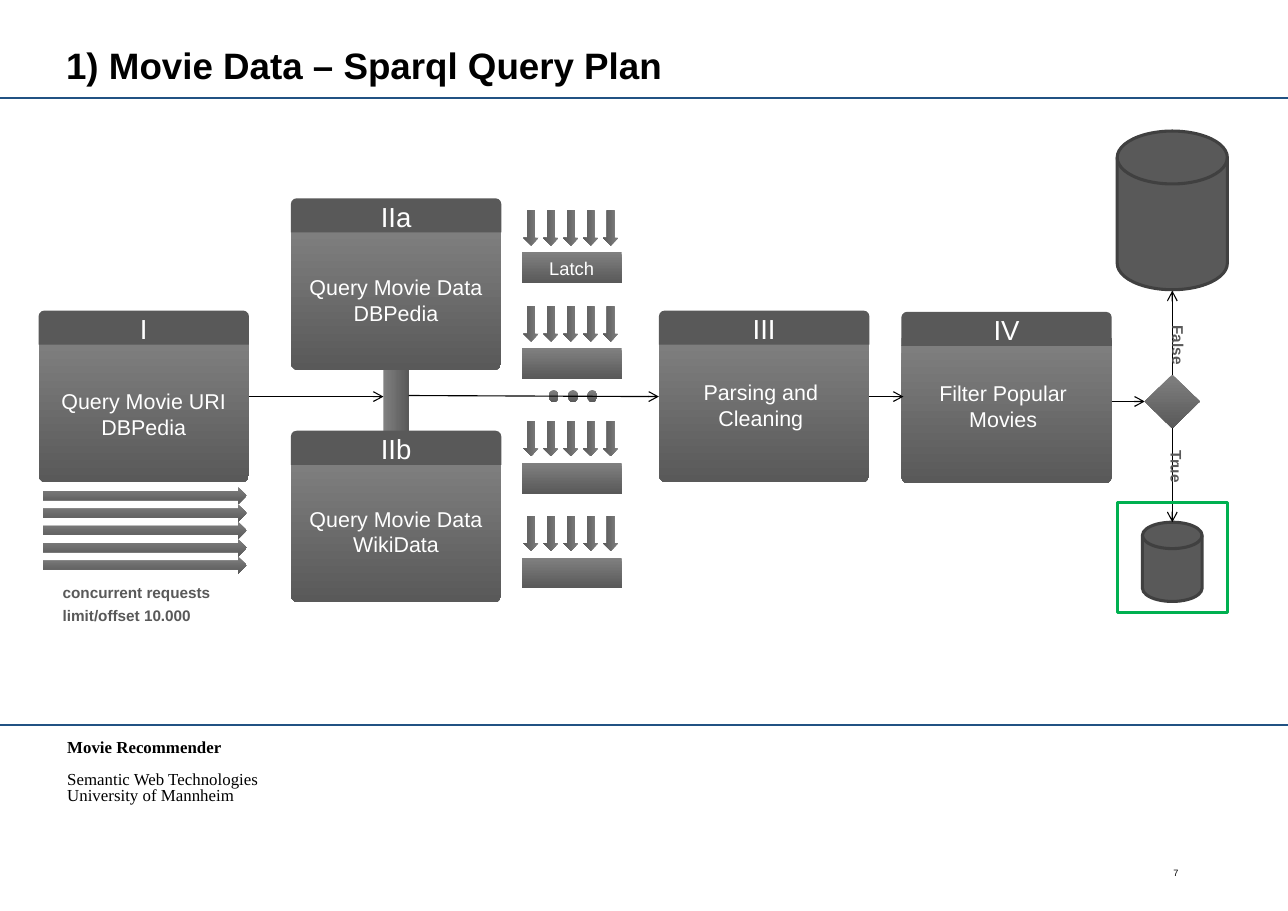
from lxml import etree
from pptx import Presentation
from pptx import util as u
from pptx.dml.color import RGBColor
from pptx.enum import shapes, text
from pptx.oxml.ns import qn

Pt = u.Pt
KIND = shapes.MSO_SHAPE
COLORS = {"rule": "215283", "light": "808080", "dark": "595959", "edge": "404040",
          "white": "FFFFFF", "black": "000000", "highlight": "00B050"}
SLIDE_W, SLIDE_H = 841.7, 595.4

TITLE = "1) Movie Data – Sparql Query Plan"
FOOTER = [("Movie Recommender", True, 0, 1),
          ("Semantic Web Technologies", False, 10, 0.8),
          ("University of Mannheim", False, 0, 0.8)]
PAGE_NUMBER = "7"

STEPS = [("I", "Query Movie URI DBPedia", 25.2, 203, 67.4, 2.1),
         ("IIa", "Query Movie Data DBPedia", 190.1, 129.6, 66.6, 2.1),
         ("IIb", "Query Movie Data WikiData", 190.1, 281.5, 65.9, 2.1),
         ("III", "Parsing and Cleaning", 430.6, 203, 61.6, 0),
         ("IV", "Filter Popular Movies", 589, 203.8, 61.5, 0)]
STEP_W, HEADER_H, BODY_DROP, BODY_H = 137.5, 22.3, 17.2, 95
LABEL_W, LABEL_H = 133.2, 41

LATCHES = [("Latch", 149), ("", 211.7), ("", 286.6), ("", 348.5)]
NOTES = [("concurrent requests", 41, 369.4, 97.9, 0),
         ("limit/offset 10.000", 41, 384.5, 87.8, 0),
         ("True", 765.4, 295.9, 23, 90),
         ("False", 764.7, 216, 26.6, 90)]
DECISION_X, DECISION_Y = 766.1, 262.4
DISKS = [(85.7, 72, 103.7), (341.3, 39, 51.8)]

presentation = Presentation()
presentation.slide_width, presentation.slide_height = Pt(SLIDE_W), Pt(SLIDE_H)
slide = presentation.slides.add_slide(presentation.slide_layouts[5])


def color(name):
    return RGBColor.from_string(COLORS[name])


def add_run(paragraph, words, size, tint, bold=False, font="Arial"):
    run = paragraph.add_run()
    run.text = words
    run.font.name, run.font.size, run.font.bold = font, Pt(size), bold
    run.font.color.rgb = color(tint)


def set_frame(shape, inset=0, anchor=text.MSO_ANCHOR.TOP, wrap=True):
    frame = shape.text_frame
    frame.margin_left = frame.margin_right = Pt(inset)
    frame.margin_top = frame.margin_bottom = Pt(inset / 2)
    frame.vertical_anchor, frame.word_wrap = anchor, wrap
    return frame


def add_centered(shape, words, size, inset=0):
    paragraph = set_frame(shape, inset, text.MSO_ANCHOR.MIDDLE).paragraphs[0]
    paragraph.alignment = text.PP_ALIGN.CENTER
    add_run(paragraph, words, size, "white")


def add_box(kind, left, top, width, height, fill="gradient", edge=None,
            rotation=0, parent=slide):
    shape = parent.shapes.add_shape(kind, Pt(left), Pt(top), Pt(width), Pt(height))
    shape.shadow.inherit = False
    shape.rotation = rotation
    if fill == "gradient":
        shape.fill.gradient()
        shape.fill.gradient_angle = 270
        for stop, position, tint in zip(shape.fill.gradient_stops, (0, 1), ("light", "dark")):
            stop.position = position
            stop.color.rgb = color(tint)
    elif fill:
        shape.fill.solid()
        shape.fill.fore_color.rgb = color(fill)
    else:
        shape.fill.background()
    if edge:
        shape.line.color.rgb = color(edge)
        shape.line.width = Pt(2)
    else:
        shape.line.fill.background()
    return shape


def add_line(x1, y1, x2, y2, tint="black", width=0.75, arrow=True):
    connector = slide.shapes.add_connector(
        shapes.MSO_CONNECTOR.STRAIGHT, Pt(x1), Pt(y1), Pt(x2), Pt(y2))
    connector.line.color.rgb = color(tint)
    connector.line.width = Pt(width)
    properties = connector.line._get_or_add_ln()
    if arrow:
        etree.SubElement(properties, qn("a:tailEnd"), type="arrow")
    etree.SubElement(properties.getparent(), qn("a:effectLst"))
    return connector


def add_text(left, top, width, height, wrap=True, rotation=0):
    box = slide.shapes.add_textbox(Pt(left), Pt(top), Pt(width), Pt(height))
    box.rotation = rotation
    frame = set_frame(box, wrap=wrap)
    frame.auto_size = text.MSO_AUTO_SIZE.SHAPE_TO_FIT_TEXT
    return frame


def add_step(number, label, left, top, label_drop, label_shift):
    group = slide.shapes.add_group_shape()
    body = add_box(KIND.ROUND_2_SAME_RECTANGLE, left, top + BODY_DROP, STEP_W, BODY_H,
                   parent=group)
    body.adjustments[0], body.adjustments[1] = 0, 0.05
    caption = group.shapes.add_textbox(Pt(left + label_shift), Pt(top + label_drop - LABEL_H / 2),
                                       Pt(LABEL_W), Pt(LABEL_H))
    add_centered(caption, label, 14, 7.2)
    header = add_box(KIND.ROUND_2_SAME_RECTANGLE, left, top, STEP_W, HEADER_H, "dark",
                     parent=group)
    add_centered(header, number, 18)


def add_latch(label, arrow_y):
    for index in range(5):
        add_box(KIND.RIGHT_ARROW, 335.6 + 13 * index, arrow_y - 5, 23, 10, rotation=90)
    bar = add_box(KIND.RECTANGLE, 340.8, arrow_y + 15.9, 65.5, 20.2)
    if label:
        add_centered(bar, label, 12)


def main():
    for y in (64.1, 473.8):
        add_line(0, y, SLIDE_W, y, "rule", 1.6, arrow=False)

    title = slide.shapes.title
    title.left, title.top, title.width, title.height = Pt(43.2), Pt(28.1), Pt(756), Pt(28.8)
    frame = set_frame(title, anchor=text.MSO_ANCHOR.BOTTOM)
    frame.auto_size = text.MSO_AUTO_SIZE.NONE
    frame.paragraphs[0].alignment = text.PP_ALIGN.LEFT
    add_run(frame.paragraphs[0], TITLE, 24, "black", True)

    frame = add_text(43.9, 481.7, 231.8, 44.6)
    for index, (words, bold, before, spacing) in enumerate(FOOTER):
        paragraph = frame.add_paragraph() if index else frame.paragraphs[0]
        paragraph.space_before, paragraph.line_spacing = Pt(before), spacing
        add_run(paragraph, words, 11, "black", bold, "Times New Roman")
    add_run(add_text(766.8, 566.6, 14.4, 7.9).paragraphs[0], PAGE_NUMBER, 6, "black")

    add_box(KIND.RECTANGLE, 237.6, 254.1, 42.5, 16.6, rotation=270)
    for step in STEPS:
        add_step(*step)
    for index in range(5):
        add_box(KIND.RIGHT_ARROW, 28.1, 318.2 + 11.35 * index, 133.2, 11.5)
    for latch in LATCHES:
        add_latch(*latch)
    for index in range(3):
        add_box(KIND.OVAL, 358.6 + 12.6 * index, 254.9, 6.5, 7.9)

    for top, width, height in DISKS:
        add_box(KIND.FLOWCHART_MAGNETIC_DISK, DECISION_X - width / 2, top, width, height,
                "dark", "edge")
    decision = add_box(KIND.DIAMOND, DECISION_X - 18, DECISION_Y - 17.6, 36, 35.2)

    add_line(162.7, 259.2, 250.6, 259.2)
    add_line(267.1, 258.5, 430.6, 259.2)
    add_line(568.1, 259.2, 590.4, 259.2)
    add_line(726.5, DECISION_Y, DECISION_X - 18, DECISION_Y).end_connect(decision, 1)
    add_line(DECISION_X, DECISION_Y, DECISION_X, 190).begin_connect(decision, 0)
    add_line(DECISION_X, DECISION_Y, DECISION_X, 341.3).begin_connect(decision, 2)

    for words, left, top, width, rotation in NOTES:
        paragraph = add_text(left, top, width, 20.2, False, rotation).paragraphs[0]
        paragraph.line_spacing = Pt(24)
        add_run(paragraph, words, 10, "dark", True)
    add_box(KIND.RECTANGLE, 730.1, 328.3, 72, 72, None, "highlight")

    presentation.save("out.pptx")


if __name__ == "__main__":
    main()
